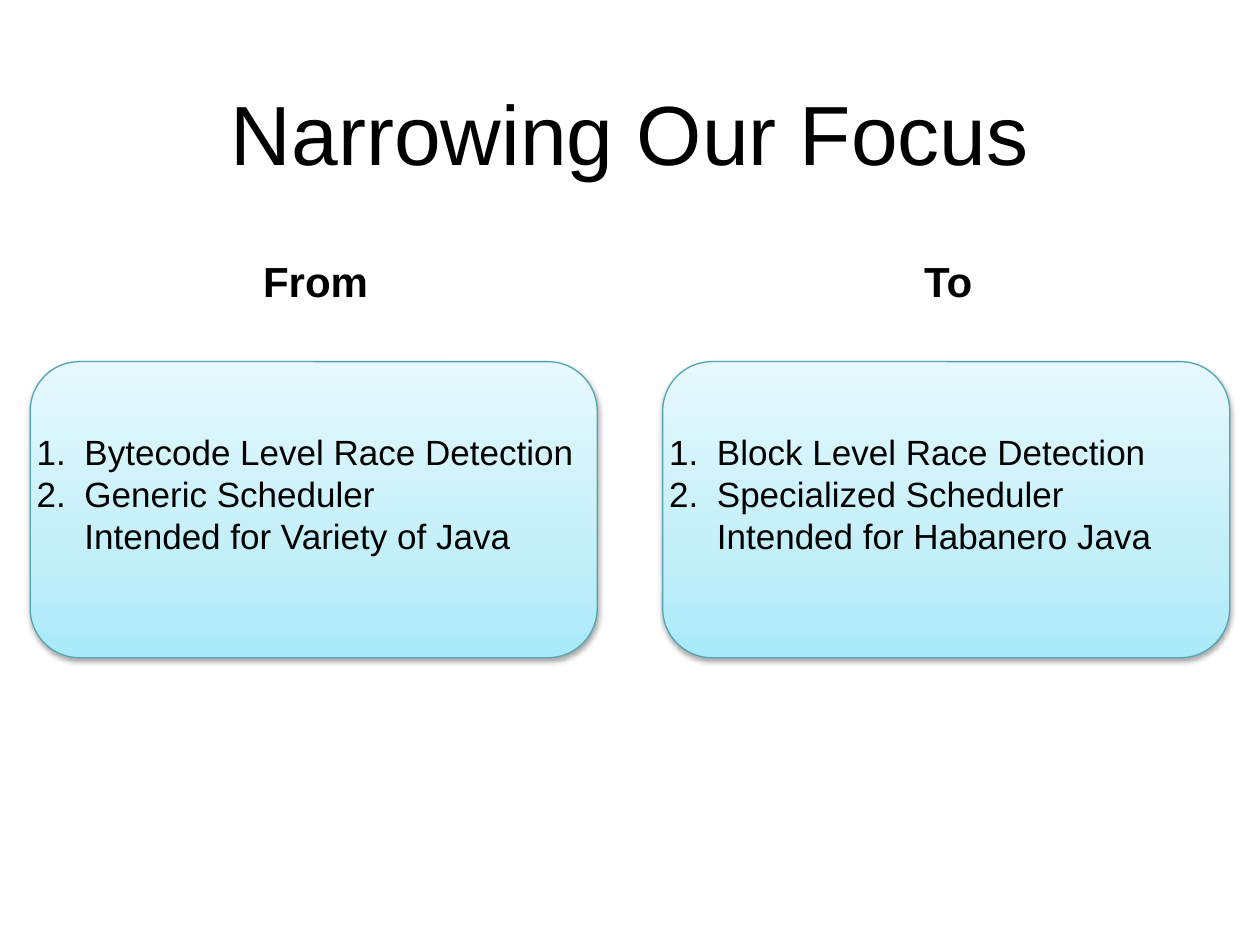
from copy import deepcopy

from lxml.etree import SubElement
from pptx import Presentation
from pptx.dml.color import RGBColor
from pptx.enum.shapes import MSO_SHAPE as Shape
from pptx.enum.text import MSO_ANCHOR as Anchor, MSO_AUTO_SIZE as Fit, PP_ALIGN as Align
from pptx.oxml.ns import qn
from pptx.util import Inches, Pt

TITLE = "Narrowing Our Focus"
# Heading and numbered items; \v breaks a line within an item.
COLUMNS = [
    ("From", ["Bytecode Level Race Detection",
              "Generic Scheduler\vIntended for Variety of Java"]),
    ("To", ["Block Level Race Detection",
            "Specialized Scheduler\vIntended for Habanero Java"]),
]
STOPS = [(0, "A9E9F9"), (0.35, "C3EFF9"), (1, "E7F9FE")]
EDGE, INK = "53A5B3", "000000"

WIDE, HIGH = 10, 7.5
MARGIN, CARD_W = 0.24, 4.5
STEP = WIDE - 2 * MARGIN - CARD_W
HEAD_W, HEAD_X = 3.23, 0.65
INDENT = 0.38


def color(code):
    return RGBColor.from_string(code)


def place(shape, *box):
    shape.left, shape.top, shape.width, shape.height = map(Inches, box)


def write(shape, lines, size, inset, align, anchor, bold=False):
    frame = shape.text_frame
    frame.text = "\n".join(lines)
    frame.word_wrap, frame.auto_size = True, Fit.NONE
    frame.vertical_anchor = anchor
    frame.margin_left = frame.margin_right = Inches(inset)
    frame.margin_top = frame.margin_bottom = Inches(inset)
    for para in frame.paragraphs:
        para.alignment, para.space_before = align, Pt(0)
        font = para.font
        font.name, font.size, font.bold = "Arial", Pt(size), bold
        font.color.rgb = color(INK)


def number(shape):
    for para in shape.text_frame.paragraphs:
        props = para._p.get_or_add_pPr()
        props.set("marL", str(Inches(INDENT)))
        props.set("indent", str(-Inches(INDENT)))
        mark = props.makeelement(qn("a:buAutoNum"), {"type": "arabicPeriod"})
        props.insert_element_before(mark, "a:tabLst", "a:defRPr", "a:extLst")


def shade(shape):
    """Fill from bottom to top, and cast a soft shadow downward."""
    fill, props = shape.fill, shape._element.spPr
    fill.gradient()
    fill.gradient_angle = 90
    stops = props.find(".//" + qn("a:gsLst"))
    stops.append(deepcopy(stops[0]))
    for stop, (pos, code) in zip(fill.gradient_stops, STOPS):
        stop.position, stop.color.rgb = pos, color(code)
    shape.shadow.inherit = False
    cast = SubElement(props.find(qn("a:effectLst")), qn("a:outerShdw"),
                      blurRad=str(Pt(3)), dist=str(Pt(1.8)), dir="5400000",
                      rotWithShape="0")
    tint = SubElement(cast, qn("a:srgbClr"), val=INK)
    SubElement(tint, qn("a:alpha"), val="35000")


def add_card(slide, left):
    card = slide.shapes.add_shape(Shape.ROUNDED_RECTANGLE, 0, 0, 0, 0)
    place(card, left, 2.87, CARD_W, 2.35)
    shade(card)
    card.line.color.rgb, card.line.width = color(EDGE), Pt(0.75)
    slide.shapes._spTree.insert(2, card._element)  # behind the text


def main():
    deck = Presentation()
    deck.slide_width, deck.slide_height = Inches(WIDE), Inches(HIGH)
    slide = deck.slides.add_slide(deck.slide_layouts.get_by_name("Comparison"))
    title, *parts = slide.placeholders
    place(title, 0.5, 0, 9, 1.55)
    write(title, [TITLE], 48, 0.1, Align.CENTER, Anchor.BOTTOM)
    for i, (name, items) in enumerate(COLUMNS):
        left = MARGIN + i * STEP
        head, body = parts[2 * i:2 * i + 2]
        add_card(slide, left)
        place(head, left + HEAD_X, 1.98, HEAD_W, 0.5)
        write(head, [name], 24, 0.05, Align.CENTER, Anchor.TOP, True)
        place(body, left, 3.37, CARD_W, 1.11)
        write(body, items, 20, 0.05, Align.LEFT, Anchor.TOP)
        number(body)
    for part in list(slide.placeholders):
        if not part.text_frame.text:
            part._element.getparent().remove(part._element)
    deck.save("out.pptx")


if __name__ == "__main__":
    main()
